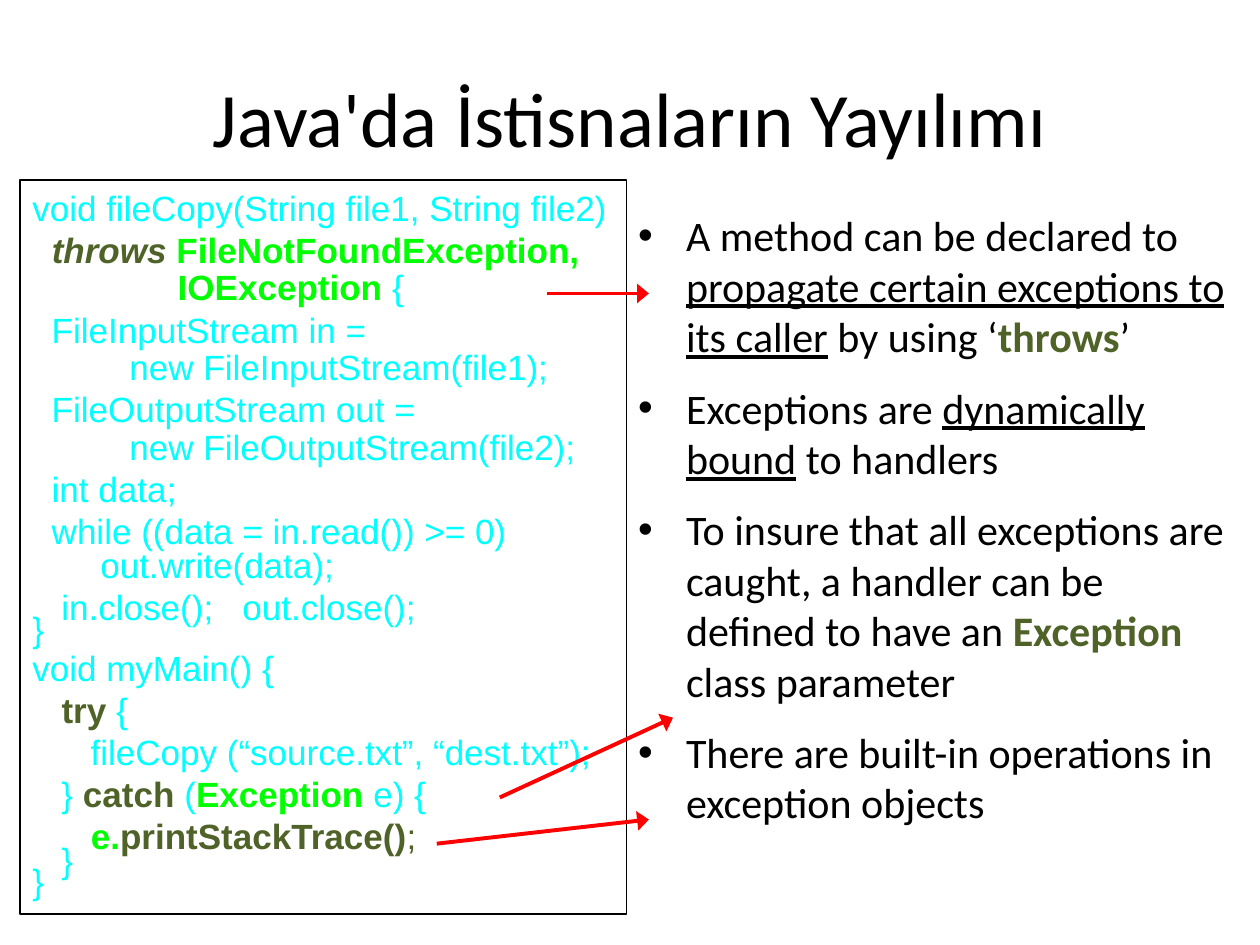
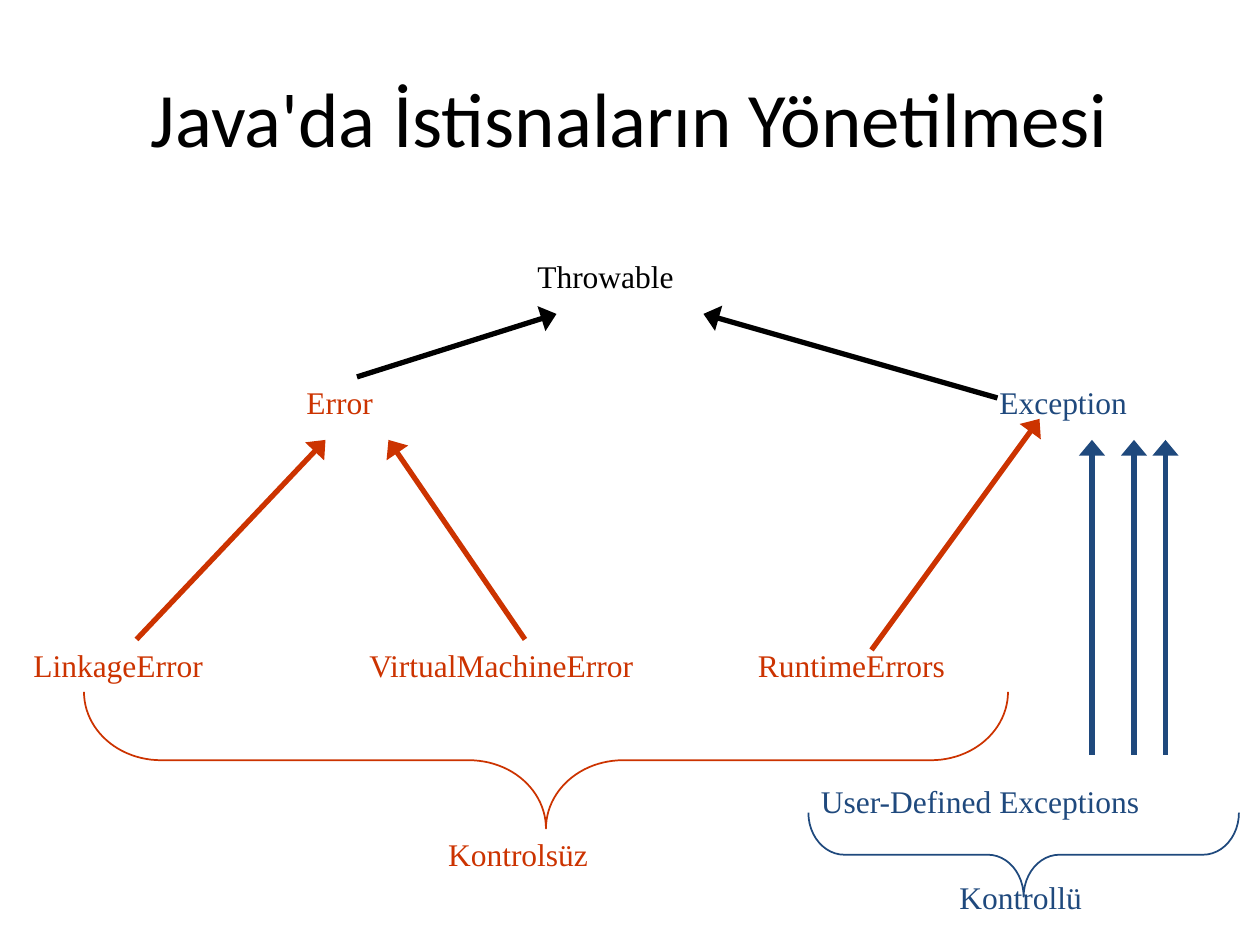
import dataclasses

import lxml.etree
import pptx
import pptx.dml.color
import pptx.enum.shapes
import pptx.enum.text
import pptx.oxml.ns
import pptx.util

CELL = pptx.util.Inches(1) // 12
COLORS = {
    "ink": "000000", "olive": "4F6228", "cyan": "00FFFF", "green": "00FF00",
    "red": "FF0000", "rust": "CC3300", "navy": "1F497D",
}
RUN_STYLES = {
    "plain": {},
    "under": {"underline": True},
    "key": {"color": "olive", "bold": True},
    "keyital": {"color": "olive", "bold": True, "italic": True},
    "type": {"color": "green", "bold": True},
    "olive": {"color": "olive"},
}
SHAPES = pptx.enum.shapes.MSO_SHAPE

CODE_LINES = [
    (1, ["void fileCopy(String file1, String file2)"]),
    (1, ["  ", ("throws ", "keyital"), ("FileNotFoundException,", "type")]),
    (0.9, [("\t  IOException ", "type"), "{"]),
    (1, ["  FileInputStream in ="]),
    (0.9, ["          new FileInputStream(file1);"]),
    (1, ["  FileOutputStream out ="]),
    (0.9, ["          new FileOutputStream(file2);"]),
    (1, ["  int data;"]),
    (1, ["  while ((data = in.read()) >= 0)"]),
    (0.8, ["       out.write(data);"]),
    (1, ["   in.close();   out.close();"]),
    (0.45, ["}"]),
    (1, ["void myMain() {"]),
    (1, ["   ", ("try", "key"), " {"]),
    (1, ["      fileCopy (“source.txt”, “dest.txt”);"]),
    (1, ["   } ", ("catch", "key"), " (", ("Exception", "type"), " e) {"]),
    (1, ["      ", ("e.", "type"), ("printStackTrace()", "key"), (";", "olive")]),
    (0.5, ["   }"]),
    (0.5, ["}"]),
]
BULLETS = [
    (1, ["A method can be declared to ",
         ("propagate certain exceptions to its caller", "under"),
         " by using ‘", ("throws", "key"), "’"]),
    (1, ["Exceptions are ", ("dynamically bound", "under"), " to handlers"]),
    (1, ["To insure that all exceptions are caught, a handler can be defined to have an ",
         ("Exception", "key"), " class parameter"]),
    (1, ["There are built-in operations in exception objects"]),
]


@dataclasses.dataclass
class Box:
    """A region measured in grid columns and rows."""
    col: float
    row: float
    cols: float
    rows: float

    def emu(self):
        """Return left, top, width and height in EMU."""
        return [round(v * CELL) for v in (self.col, self.row, self.cols, self.rows)]

    def inner(self, col, row, cols, rows):
        """Return a box placed relative to this one."""
        return Box(self.col + col, self.row + row, cols, rows)


def rgb(name):
    """Look up a palette colour."""
    return pptx.dml.color.RGBColor.from_string(COLORS[name])


def add_child(parent, tag, **attrs):
    """Append a DrawingML element with its attributes."""
    return lxml.etree.SubElement(parent, pptx.oxml.ns.qn(tag), attrs)


def add_bullet(p):
    """Give a paragraph a round bullet with a hanging indent."""
    pPr = p._p.get_or_add_pPr()
    indent = pptx.util.Inches(0.38)
    pPr.set("marL", str(indent))
    pPr.set("indent", str(-indent))
    add_child(pPr, "a:buFont", typeface="Arial")
    add_child(pPr, "a:buChar", char="•")


def add_tab_stop(p, inches):
    """Give a paragraph one left tab stop."""
    stops = add_child(p._p.get_or_add_pPr(), "a:tabLst")
    add_child(stops, "a:tab", pos=str(pptx.util.Inches(inches)), algn="l")


def write_text(sp, paras, font="Calibri", size=18, color="ink", align="LEFT",
               anchor="TOP", wrap=True, before=0, bullet=False, tab=None):
    """Fill a shape with paragraphs given as (line spacing, runs)."""
    if isinstance(paras, str):
        paras = [(1, [paras])]
    tf = sp.text_frame
    tf.word_wrap = wrap
    tf.vertical_anchor = getattr(pptx.enum.text.MSO_ANCHOR, anchor)
    if not wrap:
        tf.auto_size = pptx.enum.text.MSO_AUTO_SIZE.SHAPE_TO_FIT_TEXT
    for i, (spacing, runs) in enumerate(paras):
        p = tf.add_paragraph() if i else tf.paragraphs[0]
        if bullet:
            add_bullet(p)
        if tab:
            add_tab_stop(p, tab)
        p.alignment = getattr(pptx.enum.text.PP_ALIGN, align)
        p.line_spacing = float(spacing)
        p.space_before = pptx.util.Pt(before if i else 0)
        for run in runs:
            text, style = (run, "plain") if isinstance(run, str) else run
            look = {"color": color, **RUN_STYLES[style]}
            r = p.add_run()
            r.text = text
            r.font.name = font
            r.font.size = pptx.util.Pt(size)
            r.font.color.rgb = rgb(look.pop("color"))
            for name, value in look.items():
                setattr(r.font, name, value)


def add_text(s, box, paras, **fmt):
    """Add a text box."""
    write_text(s.shapes.add_textbox(*box.emu()), paras, **fmt)


def add_outline(s, kind, box, color, width):
    """Add an unfilled preset shape."""
    sp = s.shapes.add_shape(kind, *box.emu())
    sp.shadow.inherit = False
    sp.fill.background()
    sp.line.color.rgb = rgb(color)
    sp.line.width = pptx.util.Pt(width)
    return sp


def add_arrow(shapes, box, start, end, color, width):
    """Draw an arrow between two grid points of a box."""
    ends = [round(v * CELL) for c, r in (start, end) for v in (box.col + c, box.row + r)]
    cn = shapes.add_connector(pptx.enum.shapes.MSO_CONNECTOR.STRAIGHT, *ends)
    cn.line.color.rgb = rgb(color)
    cn.line.width = pptx.util.Pt(width)
    add_child(cn.line._get_or_add_ln(), "a:tailEnd", type="triangle", w="lg", len="med")
    add_child(cn._element.spPr, "a:effectLst")


def add_brace(s, box, color, depth):
    """Draw a brace that opens upward and fills the box."""
    mid_col, mid_row = box.col + box.cols / 2, box.row + box.rows / 2
    upright = Box(mid_col - box.rows / 2, mid_row - box.cols / 2, box.rows, box.cols)
    sp = add_outline(s, SHAPES.LEFT_BRACE, upright, color, 1)
    sp.adjustments[0] = depth
    sp.adjustments[1] = 0.5
    sp.rotation = 270


def new_slide(prs, title):
    """Add a blank slide with the shared title."""
    s = prs.slides.add_slide(prs.slide_layouts[6])
    add_text(s, Box(6, 3.6, 108, 15), title, size=44, align="CENTER", anchor="MIDDLE")
    return s


def code_slide(prs, title, body):
    """Show code beside notes, with arrows from one to the other."""
    s = new_slide(prs, title)
    add_text(s, body.inner(57.7, 2.25, 58.6, 65.5), BULLETS, size=24, before=12, bullet=True)
    sp = add_outline(s, SHAPES.RECTANGLE, body.inner(0, 0, 57.8, 69.9), "ink", 0.75)
    write_text(sp, CODE_LINES, font="Arial", size=20, color="cyan", tab=1)
    for start, end in (((50.2, 10.8), (59.9, 10.8)),
                       ((45.7, 58.8), (62.2, 51.2)),
                       ((39.7, 63.2), (59.9, 60.9))):
        add_arrow(s.shapes, body, start, end, "red", 2.25)


def tree_slide(prs, title, body):
    """Draw the exception class tree and its two braces."""
    s = new_slide(prs, title)
    for text, col, row, cols, color in (
            ("Throwable", 50, 0, 19.7, "ink"),
            ("Error", 28, 12, 10.8, "rust"),
            ("Exception", 94, 12, 18.6, "navy"),
            ("LinkageError", 2, 37, 23.9, "rust"),
            ("VirtualMachineError", 34, 37, 36.1, "rust"),
            ("RuntimeErrors", 71, 37, 26.2, "rust"),
            ("User-Defined Exceptions", 77, 50, 43, "navy"),
            ("Kontrolsüz", 41.5, 55, 15.8, "rust"),
            ("Kontrollü", 90.2, 59.1, 14.2, "navy")):
        rows = 4.8 if text.startswith("Kontrol") else 6
        add_text(s, body.inner(col, row, cols, rows), text,
                 font="Times New Roman", color=color, wrap=False)
    for start, end, color in (((13, 37), (31, 18), "rust"),
                              ((50, 37), (37, 18), "rust"),
                              ((34, 12), (53, 6), "ink"),
                              ((95, 14), (67, 6), "ink"),
                              ((83, 38), (99, 16), "rust")):
        add_arrow(s.shapes, body, start, end, color, 3)
    group = s.shapes.add_group_shape()
    for col in (104, 108, 111):
        add_arrow(group.shapes, body, (col, 48), (col, 18), "navy", 3)
    add_brace(s, body.inner(8, 42, 88, 13), "rust", 0.564)
    add_brace(s, body.inner(77, 53.5, 41, 8), "navy", 0.427)


def main():
    """Build and save both slides."""
    prs = pptx.Presentation()
    prs.slide_width, prs.slide_height = 120 * CELL, 90 * CELL
    code_slide(prs, "Java'da İstisnaların Yayılımı", Box(1.9, 17.15, 116.3, 70))
    tree_slide(prs, "Java'da İstisnaların Yönetilmesi", Box(0, 23.9, 120, 64))
    prs.save("out.pptx")


if __name__ == "__main__":
    main()
